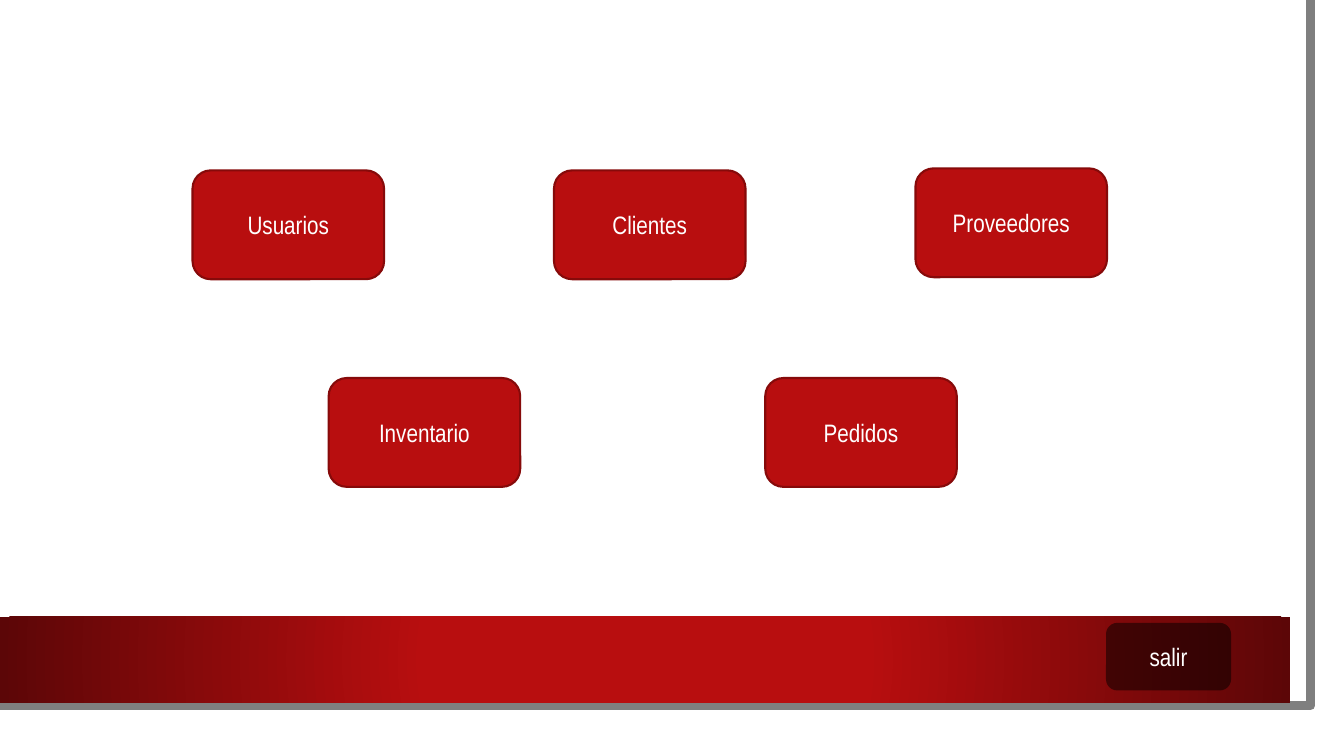
from dataclasses import dataclass

from lxml import etree
from pptx import Presentation
from pptx import util as u
from pptx.dml.color import RGBColor
from pptx.enum import shapes, text
from pptx.oxml import ns

SLIDE_SIZE = (13.33, 7.5)
MENU_ROWS = [
    {"left": 1.91, "step": 3.585, "buttons": [("Usuarios", 1.69), ("Clientes", 1.69), ("Proveedores", 1.67)]},
    {"left": 3.26, "step": 4.33, "buttons": [("Inventario", 3.75), ("Pedidos", 3.75)]},
]
BUTTON_SIZE = (1.9, 1.08)
EXIT = ("salir", (10.97, 6.18, 1.24, 0.67))
FOOTER_BAND = (0, 6.12, 12.8, 0.85)
PAGE_EDGE = [(12.82, 0), (12.85, 7.02), (-0.03, 7.01)]


@dataclass(frozen=True)
class Theme:
    red: str = "B80E0F"
    dark_red: str = "5C0607"
    outline: str = "860A0A"
    edge: str = "7F7F7F"
    black: str = "000000"
    white: str = "FFFFFF"
    font: str = "Arial Narrow"
    label_size: int = 18
    outline_width: float = 1.5
    edge_width: float = 6.5
    exit_opacity: int = 50


theme = Theme()


def add_child(parent, tag, **attributes):
    return etree.SubElement(parent, ns.qn(tag), attributes)


def draw_page_edge(slide):
    start, *corners = PAGE_EDGE
    builder = slide.shapes.build_freeform(*start, scale=u.Inches(1))
    builder.add_line_segments(corners, close=False)
    edge = builder.convert_to_shape()
    edge.shadow.inherit = False
    edge.fill.background()
    edge.line.color.rgb = RGBColor.from_string(theme.edge)
    edge.line.width = u.Pt(theme.edge_width)


def draw_footer(slide):
    band = slide.shapes.add_shape(shapes.MSO_SHAPE.RECTANGLE, *map(u.Inches, FOOTER_BAND))
    band.shadow.inherit = False
    band.line.fill.background()
    band.fill.gradient()
    gradient = band._element.spPr.find(ns.qn("a:gradFill"))
    for part in list(gradient):
        gradient.remove(part)
    stops = add_child(gradient, "a:gsLst")
    for share, color in [(0, theme.red), (34, theme.red), (100, theme.dark_red)]:
        stop = add_child(stops, "a:gs", pos=str(share * 1000))
        add_child(stop, "a:srgbClr", val=color)
    circle = add_child(gradient, "a:path", path="circle")
    add_child(circle, "a:fillToRect", l="50000", t="50000", r="50000", b="50000")


def draw_button(slide, label, box, color, outline=None, opacity=None):
    button = slide.shapes.add_shape(shapes.MSO_SHAPE.ROUNDED_RECTANGLE, *map(u.Inches, box))
    button.shadow.inherit = False
    button.fill.solid()
    button.fill.fore_color.rgb = RGBColor.from_string(color)
    if opacity is not None:
        fill_color = button._element.spPr.find(ns.qn("a:solidFill"))[0]
        add_child(fill_color, "a:alpha", val=str(opacity * 1000))
    if outline:
        button.line.color.rgb = RGBColor.from_string(outline)
        button.line.width = u.Pt(theme.outline_width)
    else:
        button.line.fill.background()
    frame = button.text_frame
    frame.text = label
    frame.word_wrap = True
    frame.vertical_anchor = text.MSO_ANCHOR.MIDDLE
    caption = frame.paragraphs[0]
    caption.alignment = text.PP_ALIGN.CENTER
    font = caption.runs[0].font
    font.name = theme.font
    font.size = u.Pt(theme.label_size)
    font.color.rgb = RGBColor.from_string(theme.white)


def main():
    deck = Presentation()
    deck.slide_width, deck.slide_height = map(u.Inches, SLIDE_SIZE)
    slide = deck.slides.add_slide(deck.slide_layouts[6])
    draw_page_edge(slide)
    draw_footer(slide)
    for row in MENU_ROWS:
        for column, (label, top) in enumerate(row["buttons"]):
            left = row["left"] + column * row["step"]
            draw_button(slide, label, (left, top, *BUTTON_SIZE), theme.red, theme.outline)
    draw_button(slide, *EXIT, theme.black, opacity=theme.exit_opacity)
    deck.save("out.pptx")


if __name__ == "__main__":
    main()
